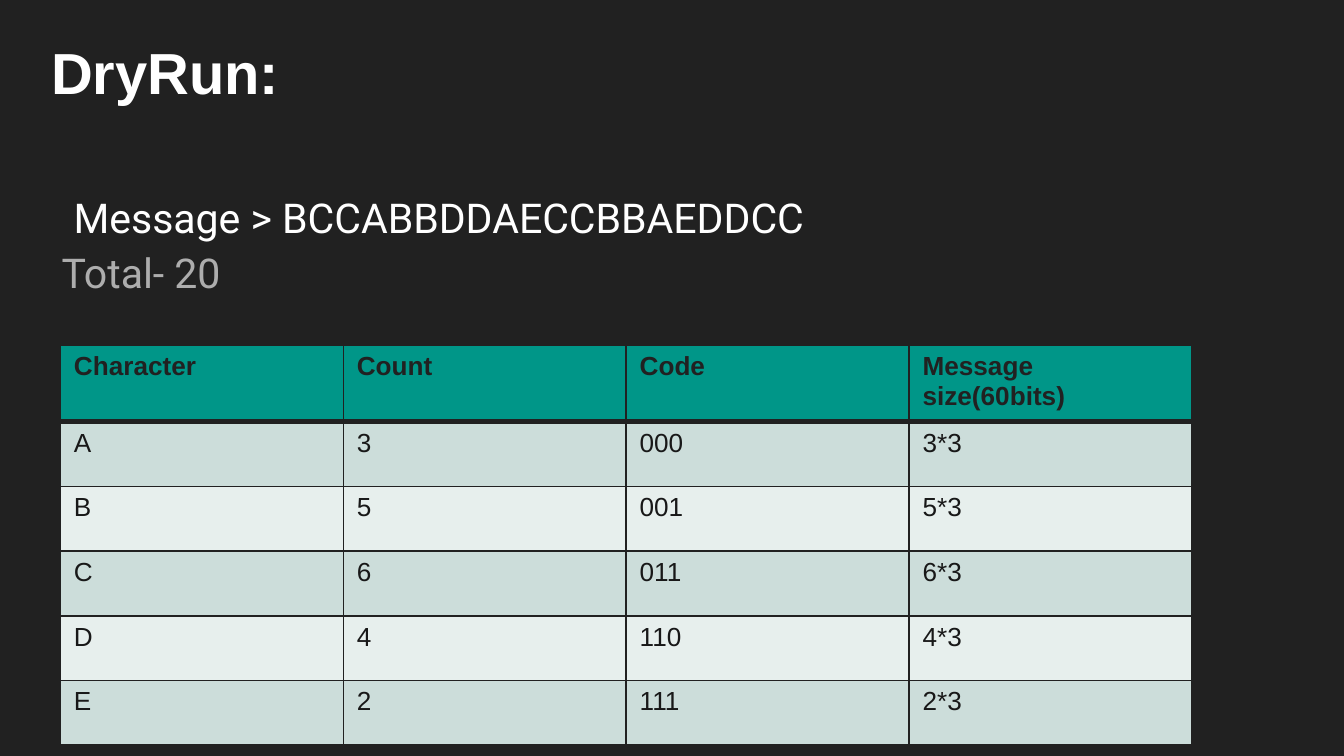
from lxml.etree import SubElement
from pptx import Presentation
from pptx.dml.color import RGBColor
from pptx.enum.text import MSO_ANCHOR, PP_ALIGN
from pptx.oxml.ns import qn
from pptx.util import Inches, Pt

SLIDE_WIDTH = Inches(10)
SLIDE_HEIGHT = SLIDE_WIDTH * 9 // 16
BACKGROUND, WHITE, GREY = "212121", "FFFFFF", "ADADAD"
HEADER_FILL, BODY_TEXT = "009688", "181818"
BAND_FILLS = ["CCDDDA", "E7EFED"]

TITLE = ("DryRun:", (0.28, 0.17, 3.28, 0.72),
         {"name": "Arial", "size": Pt(31), "bold": True}, WHITE)
LINES = [
    ("Message > BCCABBDDAECCBBAEDDCC", (0.45, 1.33, 9.1, 0.57), WHITE),
    ("Total- 20", (0.36, 1.74, 7.77, 0.94), GREY),
]
LINE_FONT = {"name": "Roboto", "size": Pt(22), "bold": False}
TABLE_BOX = (0.45, 2.57, 8.42, 2.89)
ROWS = [
    ("Character", "Count", "Code", "Message size(60bits)"),
    ("A", "3", "000", "3*3"),
    ("B", "5", "001", "5*3"),
    ("C", "6", "011", "6*3"),
    ("D", "4", "110", "4*3"),
    ("E", "2", "111", "2*3"),
]


def rgb(value):
    return RGBColor.from_string(value)


def inches(box):
    return [Inches(value) for value in box]


def write(frame, text, font, color):
    paragraph = frame.paragraphs[0]
    paragraph.alignment = PP_ALIGN.LEFT
    run = paragraph.add_run()
    run.text = text
    for name, value in font.items():
        setattr(run.font, name, value)
    run.font.color.rgb = rgb(color)


def fill_text_shape(shape, text, font, color):
    frame = shape.text_frame
    settings = {"word_wrap": True, "vertical_anchor": MSO_ANCHOR.TOP}
    for side in ("left", "top", "right", "bottom"):
        settings[f"margin_{side}"] = Inches(0.1)
    for name, value in settings.items():
        setattr(frame, name, value)
    write(frame, text, font, color)


def add_borders(cell, widths):
    properties = cell._tc.get_or_add_tcPr()
    for side, width in widths.items():
        line = SubElement(properties, qn(f"a:ln{side}"), w=str(Pt(width)))
        fill = SubElement(line, qn("a:solidFill"))
        SubElement(fill, qn("a:srgbClr"), val=BACKGROUND)


def add_code_table(slide):
    shape = slide.shapes.add_table(len(ROWS), len(ROWS[0]), *inches(TABLE_BOX))
    for row, values in enumerate(ROWS):
        header = row == 0
        fill = HEADER_FILL if header else BAND_FILLS[(row - 1) % 2]
        font = {"name": "Arial", "size": Pt(14), "bold": header}
        borders = {"L": 1, "R": 1, "T": 3 if row == 1 else 1, "B": 3 if header else 1}
        for column, text in enumerate(values):
            cell = shape.table.cell(row, column)
            add_borders(cell, borders)
            cell.fill.solid()
            cell.fill.fore_color.rgb = rgb(fill)
            write(cell.text_frame, text, font, BACKGROUND if header else BODY_TEXT)


def main():
    presentation = Presentation()
    presentation.slide_width = SLIDE_WIDTH
    presentation.slide_height = SLIDE_HEIGHT
    slide = presentation.slides.add_slide(presentation.slide_layouts[5])
    slide.background.fill.solid()
    slide.background.fill.fore_color.rgb = rgb(BACKGROUND)

    text, box, font, color = TITLE
    title = slide.shapes.title
    title.left, title.top, title.width, title.height = inches(box)
    fill_text_shape(title, text, font, color)
    for text, box, color in LINES:
        fill_text_shape(slide.shapes.add_textbox(*inches(box)), text, LINE_FONT, color)
    add_code_table(slide)
    presentation.save("out.pptx")


if __name__ == "__main__":
    main()
